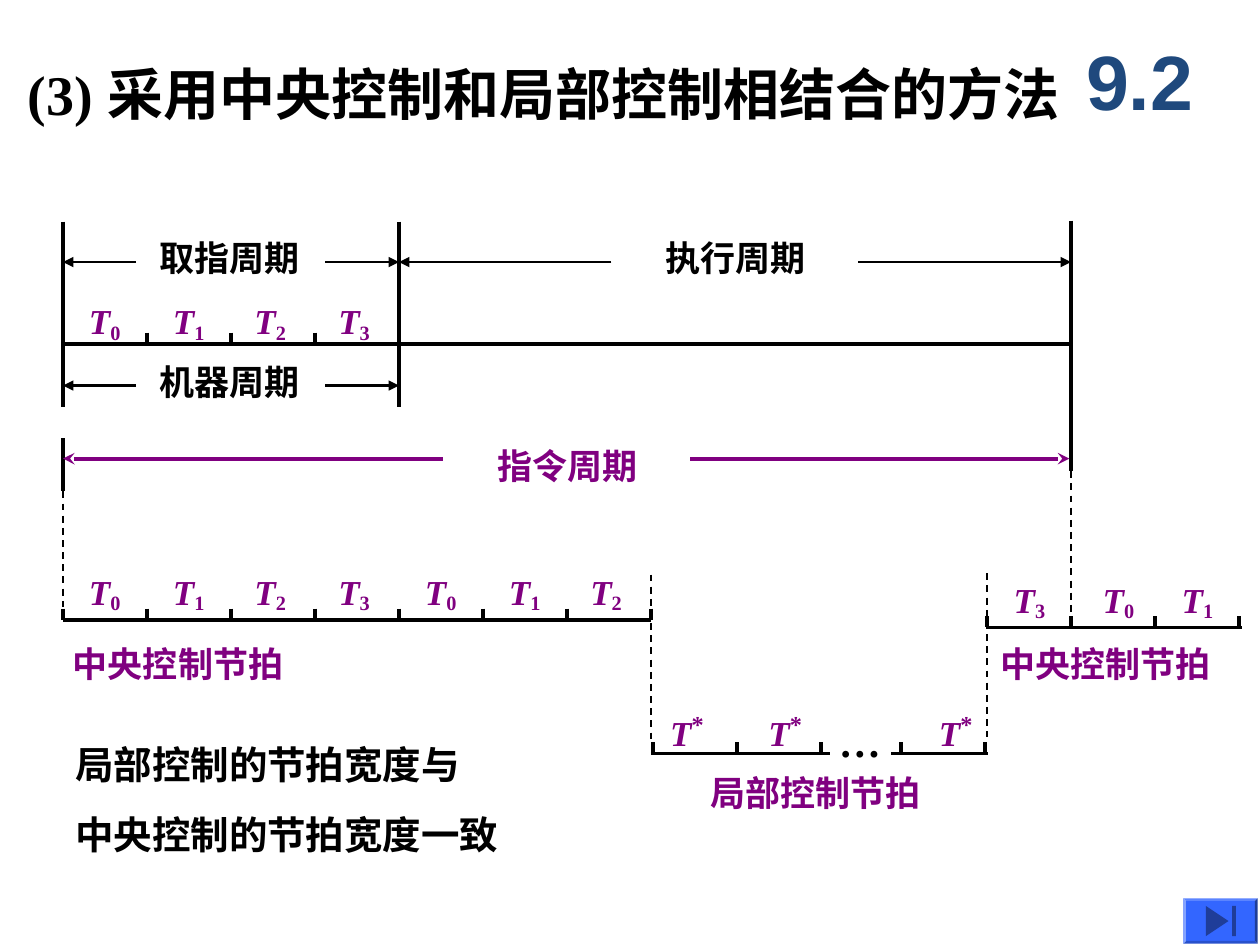
"""Build the slide on combined central and local control timing."""
from pptx import Presentation
from pptx.dml.color import RGBColor
from pptx.enum.dml import MSO_LINE
from pptx.enum.shapes import MSO_CONNECTOR, MSO_SHAPE as SHAPE
from pptx.enum.text import MSO_ANCHOR as ANCHOR, MSO_AUTO_SIZE as FIT, PP_ALIGN as ALIGN
from pptx.oxml.ns import qn
from pptx.util import Inches, Pt
from lxml.etree import SubElement

colour = RGBColor.from_string
BLACK, PURPLE, BLUE = "000000", "800080", "1F497D"
SERIF = "Times New Roman"
START, BEAT = 0.5, 2 / 3

deck = Presentation()
deck.slide_width, deck.slide_height = Inches(10), Inches(7.5)
slide = deck.slides.add_slide(deck.slide_layouts[5])


def rule(col1, y1, col2, y2, width=2.25, ink=BLACK, head=None, dashed=False):
    """Draw a line; columns are beats from the left edge of the diagram."""
    line = slide.shapes.add_connector(
        MSO_CONNECTOR.STRAIGHT, Inches(START + col1 * BEAT), Inches(y1),
        Inches(START + col2 * BEAT), Inches(y2))
    line.line.width = Pt(width)
    line.line.color.rgb = colour(ink)
    if dashed:
        line.line.dash_style = MSO_LINE.DASH
    if head:
        SubElement(line.line._get_or_add_ln(), qn("a:tailEnd"), type=head)
    SubElement(line._element.spPr, qn("a:effectLst"))


def label(col, y, width, height, parts, ink=BLACK, font=SERIF, wrap=False):
    """Write bold runs of (text, size, italic, baseline) from a beat column."""
    box = slide.shapes.add_textbox(
        Inches(START + col * BEAT), Inches(y), Inches(width), Inches(height))
    frame = box.text_frame
    frame.word_wrap = wrap
    for text, size, italic, baseline in parts:
        run = frame.paragraphs[0].add_run()
        run.text = text
        run.font.name, run.font.size = font, Pt(size)
        run.font.bold, run.font.italic = True, italic
        run.font.color.rgb = colour(ink)
        if baseline:
            run._r.get_or_add_rPr().set("baseline", str(baseline * 1000))
    return frame


heading = slide.shapes.title
heading.left, heading.top = Inches(0.12), Inches(0.42)
heading.width, heading.height = Inches(8.8), Inches(0.64)
heading.text_frame.text = "(3) 采用中央控制和局部控制相结合的方法"
heading.text_frame.word_wrap = True
heading.text_frame.auto_size = FIT.NONE
heading.text_frame.vertical_anchor = ANCHOR.TOP
heading_line = heading.text_frame.paragraphs[0]
heading_line.alignment = ALIGN.LEFT
heading_font = heading_line.runs[0].font
heading_font.name, heading_font.size, heading_font.bold = SERIF, Pt(32), True
heading_font.color.rgb = colour(BLACK)

section = label(11.88, 0.17, 1.25, 0.92, [("9.2", 44, False, 0)], BLUE, "Arial", True)
section.vertical_anchor = ANCHOR.MIDDLE
section.paragraphs[0].alignment = ALIGN.CENTER

for col, top, bottom in [(7, 4.56, 5.87), (11, 4.55, 5.85), (12, 3.74, 4.89), (0, 3.9, 4.82)]:
    rule(col, top, col, bottom, 1, dashed=True)

for col, top, bottom in [(0, 1.76, 3.23), (4, 1.76, 3.23), (12, 1.75, 3.74), (0, 3.48, 3.9)]:
    rule(col, top, col, bottom)

axes = [
    (0, 12, 2.73, [1, 2, 3]),
    (0, 7, 4.92, range(8)),
    (11, 14.04, 4.98, range(11, 15)),
    (7, 9.13, 5.98, [7.02, 8.02, 9.02]),
    (9.86, 11.01, 5.98, [9.98, 10.98]),
]
for first, last, y, ticks in axes:
    rule(first, y, last, y)
    for tick in ticks:
        rule(tick, y - 0.09, tick, y)

for tail, tip, y in [(0.87, 0, 2.08), (3.12, 4, 2.08), (6.53, 4, 2.08),
                     (9.47, 12, 2.08), (0.87, 0, 3.06), (3.12, 4, 3.06)]:
    rule(tail, y, tip, y, 1.5, head="triangle")
for tail, tip in [(4.52, 0), (7.47, 11.98)]:
    rule(tail, 3.64, tip, 3.64, ink=PURPLE, head="stealth")

beats = [
    (2.33, [0.16, 1.16, 2.13, 3.13], "0123"),
    (4.48, [0.16, 1.16, 2.13, 3.13, 4.16, 5.16, 6.13], "0123012"),
    (4.54, [11.17, 12.23, 13.17], "301"),
]
for y, cols, numbers in beats:
    for col, number in zip(cols, numbers):
        label(col, y, 0.45, 0.45, [("T", 20, True, 0), (number, 20, False, -15)], PURPLE)
for col in (7.08, 8.25, 10.28):
    label(col, 5.54, 0.6, 0.5, [("T", 20, True, 0), ("*", 24, False, 30)], PURPLE, wrap=True)
label(9.09, 5.63, 0.79, 0.5, [("…", 24, False, 0)], wrap=True)

captions = [
    (1, 1.83, "取指周期", BLACK),
    (7.02, 1.83, "执行周期", BLACK),
    (1, 2.81, "机器周期", BLACK),
    (5.02, 3.48, "指令周期", PURPLE),
    (-0.03, 5.05, "中央控制节拍", PURPLE),
    (11.01, 5.05, "中央控制节拍", PURPLE),
    (7.56, 6.07, "局部控制节拍", PURPLE),
]
for col, y, words, ink in captions:
    label(col, y, 0.2 + 0.28 * len(words), 0.44, [(words, 20, False, 0)], ink)

remark = label(0, 5.83, 4.92, 1.03, [("局部控制的节拍宽度与", 22, False, 0)], wrap=True)
second = remark.add_paragraph()
second.text = "中央控制的节拍宽度一致"
second.space_before = Pt(13.8)
second_font = second.runs[0].font
second_font.name, second_font.size, second_font.bold = SERIF, Pt(22), True
second_font.color.rgb = colour(BLACK)

button_parts = [
    (SHAPE.BEVEL, 9.39, 7.13, 0.59, 0.36, 0, "3366FF"),
    (SHAPE.ISOSCELES_TRIANGLE, 9.54, 7.22, 0.24, 0.18, 90, "1F3D99"),
    (SHAPE.RECTANGLE, 9.78, 7.19, 0.03, 0.24, 0, "1F3D99"),
]
for kind, x, y, width, height, turn, fill in button_parts:
    part = slide.shapes.add_shape(kind, Inches(x), Inches(y), Inches(width), Inches(height))
    part.shadow.inherit = False
    part.rotation = turn
    part.fill.solid()
    part.fill.fore_color.rgb = colour(fill)
    part.line.fill.background()
    if kind == SHAPE.BEVEL:
        part.adjustments[0] = 0.06

deck.save("out.pptx")
